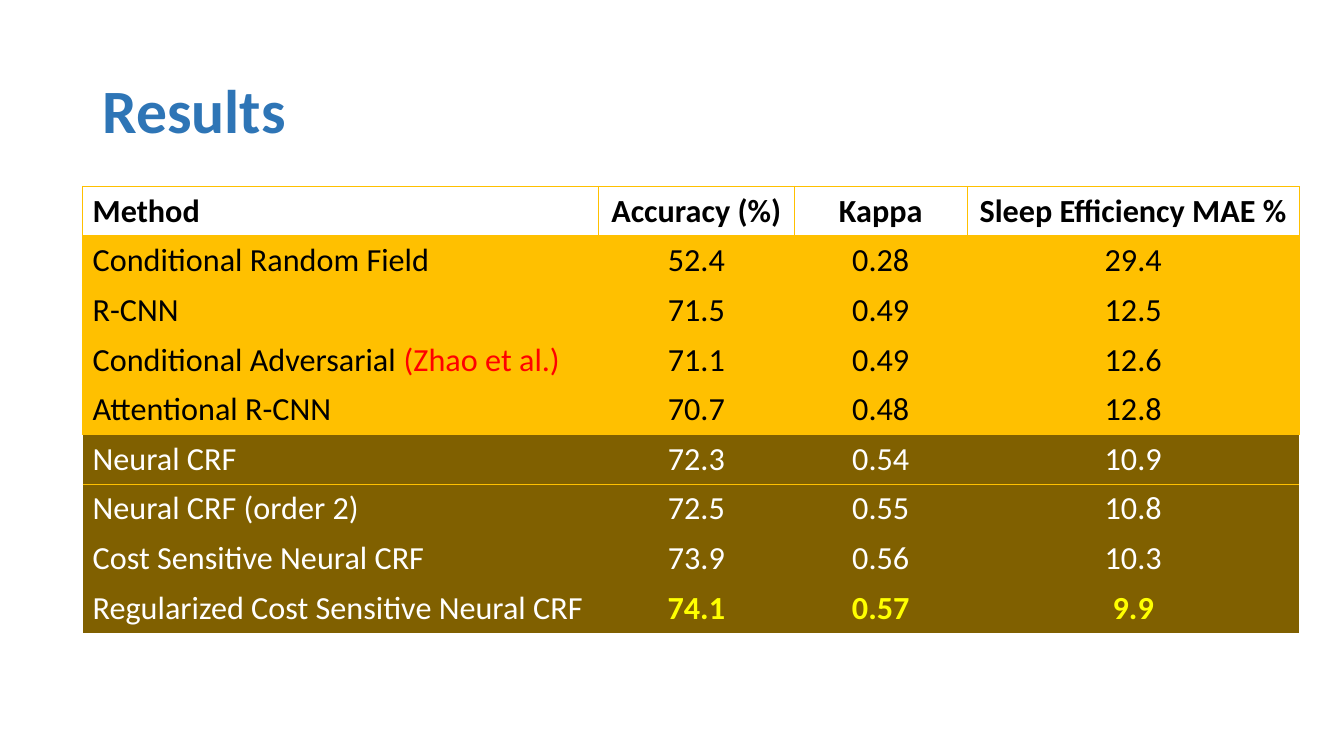
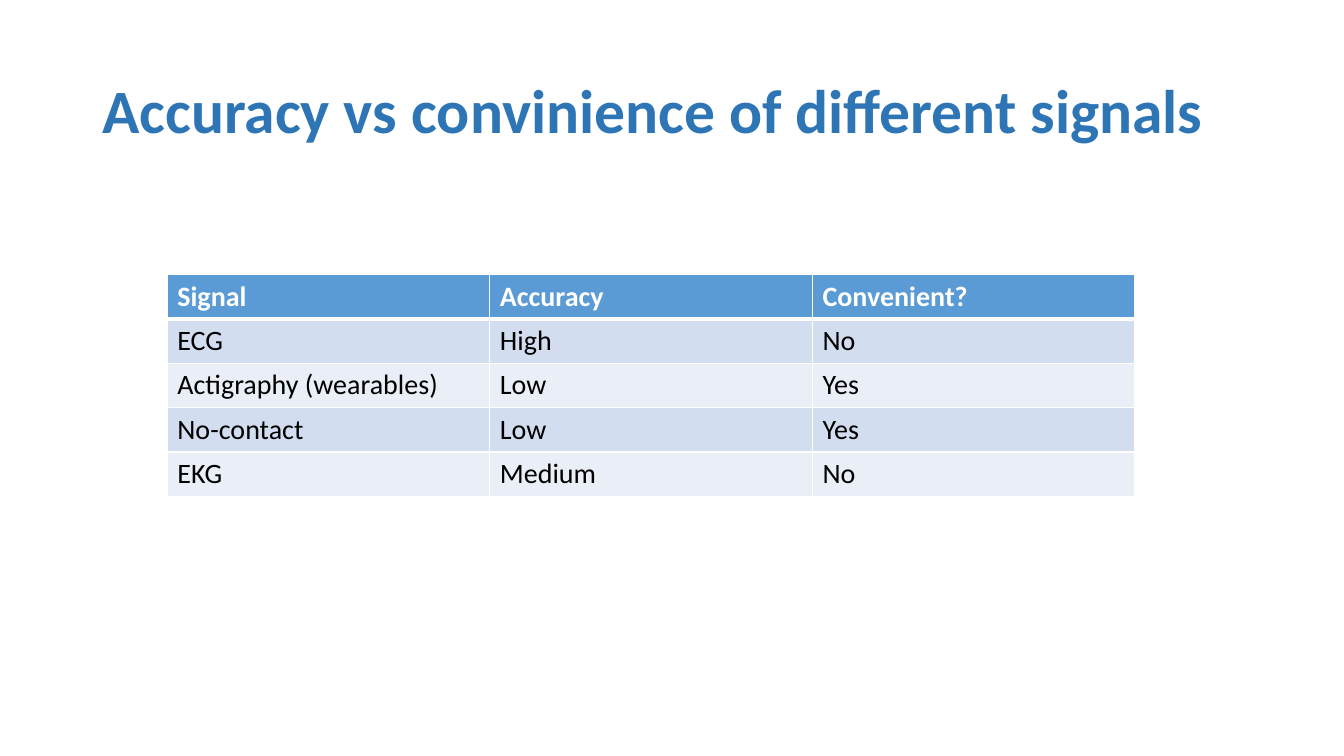
from lxml import etree
from pptx import Presentation
from pptx.dml.color import RGBColor
from pptx.enum.text import MSO_ANCHOR, PP_ALIGN
from pptx.oxml.ns import qn
from pptx.util import Pt

LEFT, CENTER = PP_ALIGN.LEFT, PP_ALIGN.CENTER
MIDDLE = MSO_ANCHOR.MIDDLE
FONT = "Calibri"
PLAIN = "{2D5ABB26-0587-4C30-8999-92F81FD0307C}"  # no style, no grid
HEX = {
    "title": "2E75B6", "black": "000000", "white": "FFFFFF", "red": "FF0000",
    "yellow": "FFFF00", "gold": "FFC000", "brown": "806000",
    "blue": "5B9BD5", "mid": "D2DEEF", "pale": "EAEFF7",
}

# Row looks: fill, text colour, bold, border colour, border widths by side
GRID = {"L": 1, "R": 1, "T": 1, "B": 1}
LOOKS = {
    "open": (None, "black", True, "gold", {**GRID, "B": 2}),
    "gold": ("gold", "black", False, "gold", GRID),
    "edge": ("brown", "white", False, "gold", {"T": 1}),
    "brown": ("brown", "white", False, None, {}),
    "head": ("blue", "white", True, "white", {**GRID, "B": 3}),
    "odd": ("mid", "black", False, "white", GRID),
    "even": ("pale", "black", False, "white", GRID),
}

# Content: a cell is a text or a list of (text, format changes)
BEST = {"color": "yellow", "bold": True}
SLIDES = [
    {
        "title": "Results",
        "at": (59, 133.2), "cols": (368.6, 139.7, 123.8, 236.9),
        "row": 35.4, "size": 23, "align": (LEFT, CENTER, CENTER, CENTER),
        "looks": ["open"] + ["gold"] * 4 + ["edge"] + ["brown"] * 3,
        "rows": [
            ("Method", "Accuracy (%)", "Kappa", "Sleep Efficiency MAE %"),
            ("Conditional Random Field", "52.4", "0.28", "29.4"),
            ("R-CNN", "71.5", "0.49", "12.5"),
            ([("Conditional Adversarial ", {}),
              ("(Zhao et al.)", {"color": "red"})], "71.1", "0.49", "12.6"),
            ("Attentional R-CNN", "70.7", "0.48", "12.8"),
            ("Neural CRF", "72.3", "0.54", "10.9"),
            ("Neural CRF (order 2)", "72.5", "0.55", "10.8"),
            ("Cost Sensitive Neural CRF", "73.9", "0.56", "10.3"),
            ("Regularized Cost Sensitive Neural CRF",
             [("74.1", BEST)], [("0.57", BEST)], [("9.9", BEST)]),
        ],
    },
    {
        "title": "Accuracy vs convinience of different signals",
        "at": (119.5, 196), "cols": (230.4,) * 3,
        "row": 31.6, "size": 20, "align": (LEFT,) * 3,
        "looks": ["head"] + ["odd", "even"] * 2,
        "rows": [
            ("Signal", "Accuracy", "Convenient?"),
            ("ECG", "High", "No"),
            ("Actigraphy (wearables)", "Low", "Yes"),
            ("No-contact", "Low", "Yes"),
            ("EKG", "Medium", "No"),
        ],
    },
]


def style(font, color, **attrs):
    font.color.rgb = RGBColor.from_string(HEX[color])
    for key, val in {"name": FONT, **attrs}.items():
        setattr(font, key, val)


def set_title(slide, text):
    box = slide.shapes.title
    for key, val in zip(("left", "top", "width", "height"),
                        (66, 28.75, 828, 104.4)):
        setattr(box, key, Pt(val))
    frame = box.text_frame
    frame.text = text
    frame.word_wrap = True
    frame.vertical_anchor = MIDDLE
    para = frame.paragraphs[0]
    para.alignment, para.line_spacing = LEFT, 0.9
    style(para.runs[0].font, "title", size=Pt(44), bold=True)


def set_edges(cell, color, widths):
    props = cell._tc.get_or_add_tcPr()
    # Borders come before the fill in the cell properties
    for spot, (side, width) in enumerate(widths.items()):
        line = etree.Element(qn(f"a:ln{side}"), w=str(Pt(width)))
        fill = etree.SubElement(line, qn("a:solidFill"))
        etree.SubElement(fill, qn("a:srgbClr"), val=HEX[color])
        props.insert(spot, line)


def fill_cell(cell, item, look, size, align):
    back, color, bold, edge, widths = LOOKS[look]
    if back:
        cell.fill.solid()
        cell.fill.fore_color.rgb = RGBColor.from_string(HEX[back])
    else:
        cell.fill.background()
    set_edges(cell, edge, widths)
    para = cell.text_frame.paragraphs[0]
    para.alignment = align
    for text, diff in [(item, {})] if isinstance(item, str) else item:
        run = para.add_run()
        run.text = text
        style(run.font, **{"color": color, "bold": bold, "size": Pt(size), **diff})


def draw_table(slide, data):
    rows, cols = data["rows"], data["cols"]
    left, top = data["at"]
    table = slide.shapes.add_table(
        len(rows), len(cols), Pt(left), Pt(top),
        Pt(sum(cols)), Pt(data["row"] * len(rows))).table
    table.horz_banding = False
    table._tbl.tblPr.find(qn("a:tableStyleId")).text = PLAIN
    for col, width in zip(table.columns, cols):
        col.width = Pt(width)
    for r, (row, look) in enumerate(zip(rows, data["looks"])):
        table.rows[r].height = Pt(data["row"])
        for c, item in enumerate(row):
            fill_cell(table.cell(r, c), item, look, data["size"], data["align"][c])


def main():
    deck = Presentation()
    deck.slide_width, deck.slide_height = Pt(960), Pt(540)
    for data in SLIDES:
        slide = deck.slides.add_slide(deck.slide_layouts[5])  # title only
        set_title(slide, data["title"])
        draw_table(slide, data)
    deck.save("out.pptx")


if __name__ == "__main__":
    main()
